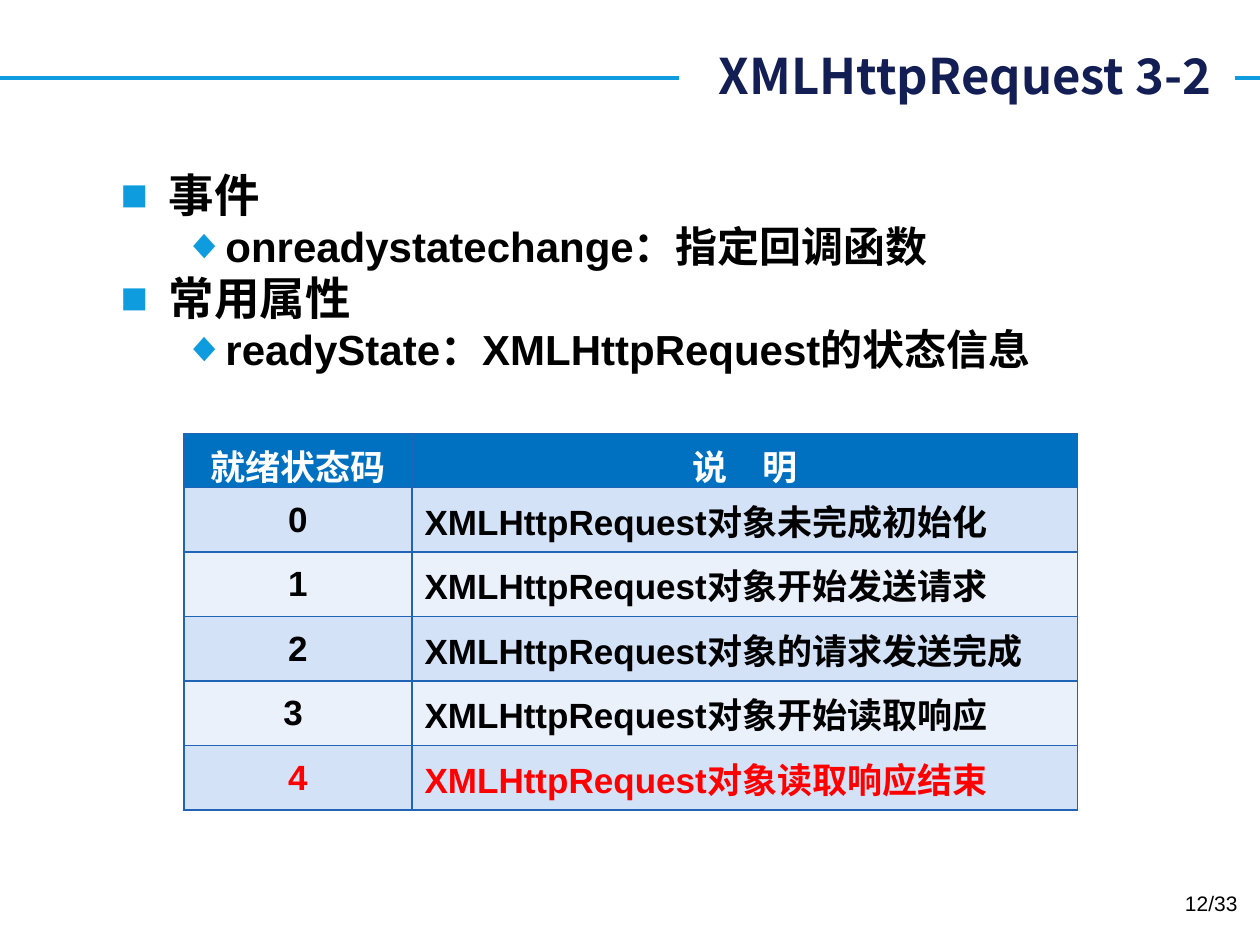
import pptx
import pptx.util
import pptx.dml.color
import pptx.enum.shapes
import pptx.enum.text
import pptx.oxml
import pptx.oxml.ns

Inches = pptx.util.Inches
Pt = pptx.util.Pt
ALIGN = pptx.enum.text.PP_ALIGN
ANCHOR = pptx.enum.text.MSO_ANCHOR
CJK = "Noto Sans CJK SC"
HUES = {"sky": "0E9CDE", "navy": "121E54", "head": "0070C0", "edge": "2163B4",
        "odd": "D3E2F7", "even": "EAF1FB", "red": "FF0000",
        "black": "000000", "white": "FFFFFF"}
POINTS = [(0, "事件"), (1, "onreadystatechange：指定回调函数"),
          (0, "常用属性"), (1, "readyState：XMLHttpRequest的状态信息")]
LEVELS = [(26, 0.38, 0.38, "■"), (24, 0.81, 0.31, "◆")]
STATES = [("就绪状态码", "说　明"),
          ("0", "XMLHttpRequest对象未完成初始化"),
          ("1", "XMLHttpRequest对象开始发送请求"),
          ("2", "XMLHttpRequest对象的请求发送完成"),
          ("3 ", "XMLHttpRequest对象开始读取响应"),
          ("4", "XMLHttpRequest对象读取响应结束")]


def hue(name):
    """Return the named colour."""
    return pptx.dml.color.RGBColor.from_string(HUES[name])


def add_xml(node, text, spot=None):
    """Put an XML fragment into a node, at the end unless a spot is given."""
    space = pptx.oxml.ns.nsdecls("a")
    part = pptx.oxml.parse_xml(text.replace("XMLNS", space, 1))
    node.insert(len(node) if spot is None else spot, part)


def add_run(para, text, size, color, font="Arial", bold=True):
    """Add one styled run to a paragraph."""
    run = para.add_run()
    run.text = text
    run.font.size = Pt(size)
    run.font.bold = bold
    run.font.name = font
    run.font.color.rgb = hue(color)
    add_xml(run.font._element, f'<a:ea XMLNS typeface="{CJK}"/>')


def add_title(slide, box, text):
    """Draw the rule across the slide and the title plate over it."""
    left, top, width, height = box
    rule = slide.shapes.add_connector(
        pptx.enum.shapes.MSO_CONNECTOR.STRAIGHT, 0, Inches(0.62), Inches(10), Inches(0.62))
    rule.line.color.rgb = hue("sky")
    rule.line.width = Pt(2.25)
    add_xml(rule._element.spPr, "<a:effectLst XMLNS/>")
    plate = slide.shapes.add_shape(
        pptx.enum.shapes.MSO_SHAPE.RECTANGLE, left, top, width, height)
    plate.shadow.inherit = False
    plate.fill.solid()
    plate.fill.fore_color.rgb = hue("white")
    plate.line.fill.background()
    frame = plate.text_frame
    frame.word_wrap = True
    frame.vertical_anchor = ANCHOR.MIDDLE
    para = frame.paragraphs[0]
    para.alignment = ALIGN.RIGHT
    add_run(para, text, 28, "navy", CJK)


def add_points(slide, box, points):
    """Write the two-level bullet list."""
    frame = slide.shapes.add_textbox(*box).text_frame
    frame.word_wrap = True
    for i, (level, text) in enumerate(points):
        size, left, hang, mark = LEVELS[level]
        para = frame.add_paragraph() if i else frame.paragraphs[0]
        para.level = level
        para.space_before = Pt(3)
        para.line_spacing = 0.88
        props = para._p.get_or_add_pPr()
        props.set("marL", str(Inches(left)))
        props.set("indent", str(-Inches(hang)))
        add_xml(props, f'<a:buClr XMLNS><a:srgbClr val="{HUES["sky"]}"/></a:buClr>')
        add_xml(props, '<a:buFont XMLNS typeface="Arial"/>')
        add_xml(props, f'<a:buChar XMLNS char="{mark}"/>')
        add_run(para, text, size, "black")


def fill_cell(cell, text, color, fill, align, head):
    """Style one table cell and write its text."""
    cell.fill.solid()
    cell.fill.fore_color.rgb = hue(fill)
    for i, side in enumerate("LRTB"):
        add_xml(cell._tc.get_or_add_tcPr(),
                f'<a:ln{side} XMLNS w="{Pt(1)}"><a:solidFill>'
                f'<a:srgbClr val="{HUES["edge"]}"/></a:solidFill></a:ln{side}>', i)
    cell.vertical_anchor = ANCHOR.TOP if head else ANCHOR.MIDDLE
    cell.margin_bottom = Inches(0 if head else 0.05)
    para = cell.text_frame.paragraphs[0]
    para.alignment = align
    add_run(para, text, 20, color, CJK if head else "Arial")


def add_states(slide, box, states):
    """Build the table of ready states."""
    left, top, width, height = box
    table = slide.shapes.add_table(len(states), 2, left, top, width, height).table
    first = Inches(1.81)
    table.columns[0].width = first
    table.columns[1].width = width - first
    crown = Inches(0.43)
    last = len(states) - 1
    for r, texts in enumerate(states):
        head = r == 0
        table.rows[r].height = crown if head else (height - crown) // last
        fill = "head" if head else "odd" if r % 2 else "even"
        color = "white" if head else "red" if r == last else "black"
        for c, text in enumerate(texts):
            align = ALIGN.CENTER if head or c == 0 else ALIGN.LEFT
            fill_cell(table.cell(r, c), text, color, fill, align, head)


def add_page(slide, box, text):
    """Write the page number."""
    frame = slide.shapes.add_textbox(*box).text_frame
    frame.word_wrap = True
    para = frame.paragraphs[0]
    para.alignment = ALIGN.RIGHT
    add_run(para, text, 12, "black", bold=False)


def main():
    """Build and save the slide."""
    deck = pptx.Presentation()
    deck.slide_width, deck.slide_height = Inches(10), Inches(7.5)
    slide = deck.slides.add_slide(deck.slide_layouts[6])
    parts = [(add_points, (0.86, 1.33, 8.36, 5.97), POINTS),
             (add_title, (5.39, 0.31, 4.41, 0.57), "XMLHttpRequest 3-2 "),
             (add_states, (1.46, 3.44, 7.09, 2.99), STATES),
             (add_page, (7.59, 7.02, 2.33, 0.4), "12/33")]
    for draw, box, data in parts:
        draw(slide, [Inches(n) for n in box], data)
    deck.save("out.pptx")


if __name__ == "__main__":
    main()
